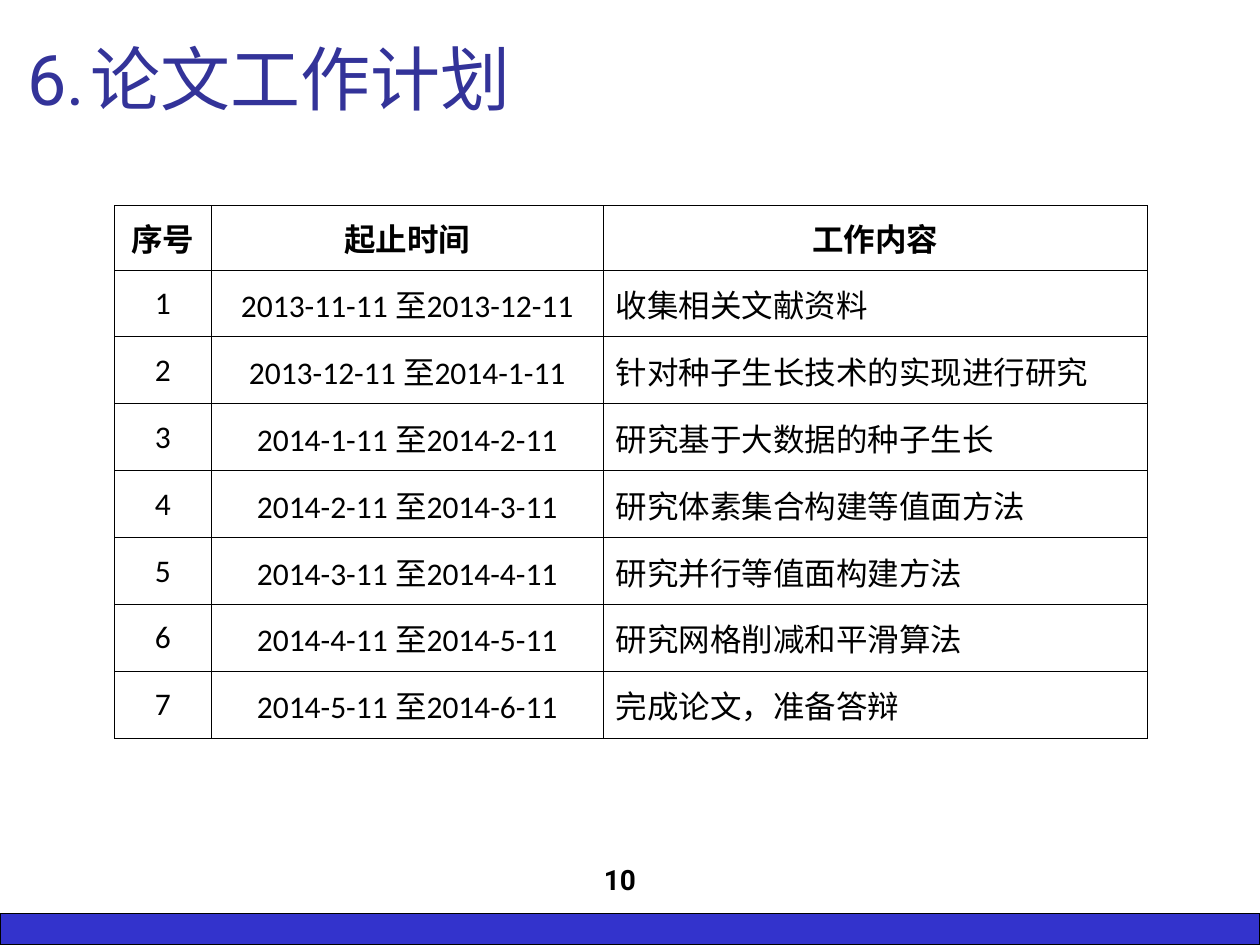
import pptx
import pptx.util
import pptx.dml.color
import pptx.enum.shapes
import pptx.enum.text
from lxml import etree
from pptx.util import Cm, Pt

# Content
TITLE = "6.\t论文工作计划"
PAGE = "10"
HEADS = ("序号", "起止时间", "工作内容")
PLAN = [
    ("2013-11-11 至2013-12-11", "收集相关文献资料"),
    ("2013-12-11 至2014-1-11", "针对种子生长技术的实现进行研究"),
    ("2014-1-11 至2014-2-11", "研究基于大数据的种子生长"),
    ("2014-2-11 至2014-3-11", "研究体素集合构建等值面方法"),
    ("2014-3-11 至2014-4-11", "研究并行等值面构建方法"),
    ("2014-4-11 至2014-5-11", "研究网格削减和平滑算法"),
    ("2014-5-11 至2014-6-11", "完成论文，准备答辩"),
]

# Measures in cm
WIDE, HIGH = 25.4, 19.05
BAR = 0.63
COLS = (1.95, 7.9, 10.97)
HEAD, ROW = 1.3, 1.35

ALIGN = pptx.enum.text.PP_ALIGN
ANCHOR = pptx.enum.text.MSO_ANCHOR
A = "http://schemas.openxmlformats.org/drawingml/2006/main"


def color(code):
    return pptx.dml.color.RGBColor.from_string(code)


def write(frame, text, face, size, code, bold=False, align=ALIGN.LEFT):
    frame.text = text
    para = frame.paragraphs[0]
    para.alignment = align
    font = para.font
    font.name, font.size, font.bold = face, Pt(size), bold
    font.color.rgb = color(code)
    return para


def border(cell, code, width):
    props = cell._tc.get_or_add_tcPr()
    for spot, side in enumerate(("lnL", "lnR", "lnT", "lnB")):
        line = etree.Element(f"{{{A}}}{side}", w=str(Pt(width)))
        fill = etree.SubElement(line, f"{{{A}}}solidFill")
        etree.SubElement(fill, f"{{{A}}}srgbClr", val=code)
        props.insert(spot, line)


deck = pptx.Presentation()
deck.slide_width, deck.slide_height = Cm(WIDE), Cm(HIGH)
slide = deck.slides.add_slide(deck.slide_layouts[5])
shapes = slide.shapes

# Bottom bar
bar = shapes.add_shape(pptx.enum.shapes.MSO_SHAPE.RECTANGLE,
                       0, Cm(HIGH - BAR), Cm(WIDE), Cm(BAR))
bar.shadow.inherit = False
bar.fill.solid()
bar.fill.fore_color.rgb = color("3333CC")
bar.line.color.rgb = color("000000")
bar.line.width = Pt(0.75)

# Page number
page = shapes.add_textbox(Cm(9.32), Cm(16.92), Cm(6.35), Cm(1.27)).text_frame
page.word_wrap = True
page.vertical_anchor = ANCHOR.BOTTOM
write(page, PAGE, "Roboto", 16, "000000", True, ALIGN.CENTER)

# Title
title = shapes.title
title.left, title.top = Cm(0.3), Cm(0.53)
title.width, title.height = Cm(19), Cm(2.01)
title.text_frame.auto_size = pptx.enum.text.MSO_AUTO_SIZE.NONE
title.text_frame.vertical_anchor = ANCHOR.BOTTOM
write(title.text_frame, TITLE, "Roboto", 40, "333399")

# Work plan table
rows = [HEADS] + [(str(num), *item) for num, item in enumerate(PLAN, 1)]
grid = shapes.add_table(len(rows), len(COLS), Cm(2.31), Cm(4.14),
                        Cm(sum(COLS)), Cm(HEAD + ROW * len(PLAN))).table
grid.first_row = grid.horz_banding = False
for col, width in zip(grid.columns, COLS):
    col.width = Cm(width)
for r, row in enumerate(rows):
    grid.rows[r].height = Cm(ROW if r else HEAD)
    for c, text in enumerate(row):
        cell = grid.cell(r, c)
        cell.vertical_anchor = ANCHOR.MIDDLE
        cell.fill.background()
        border(cell, "000000", 0.45)
        align = ALIGN.LEFT if r and c == 2 else ALIGN.CENTER
        para = write(cell.text_frame, text, "Calibri", 18, "000000",
                     r == 0, align)
        para.space_before = Pt(4.5)

deck.save("out.pptx")
